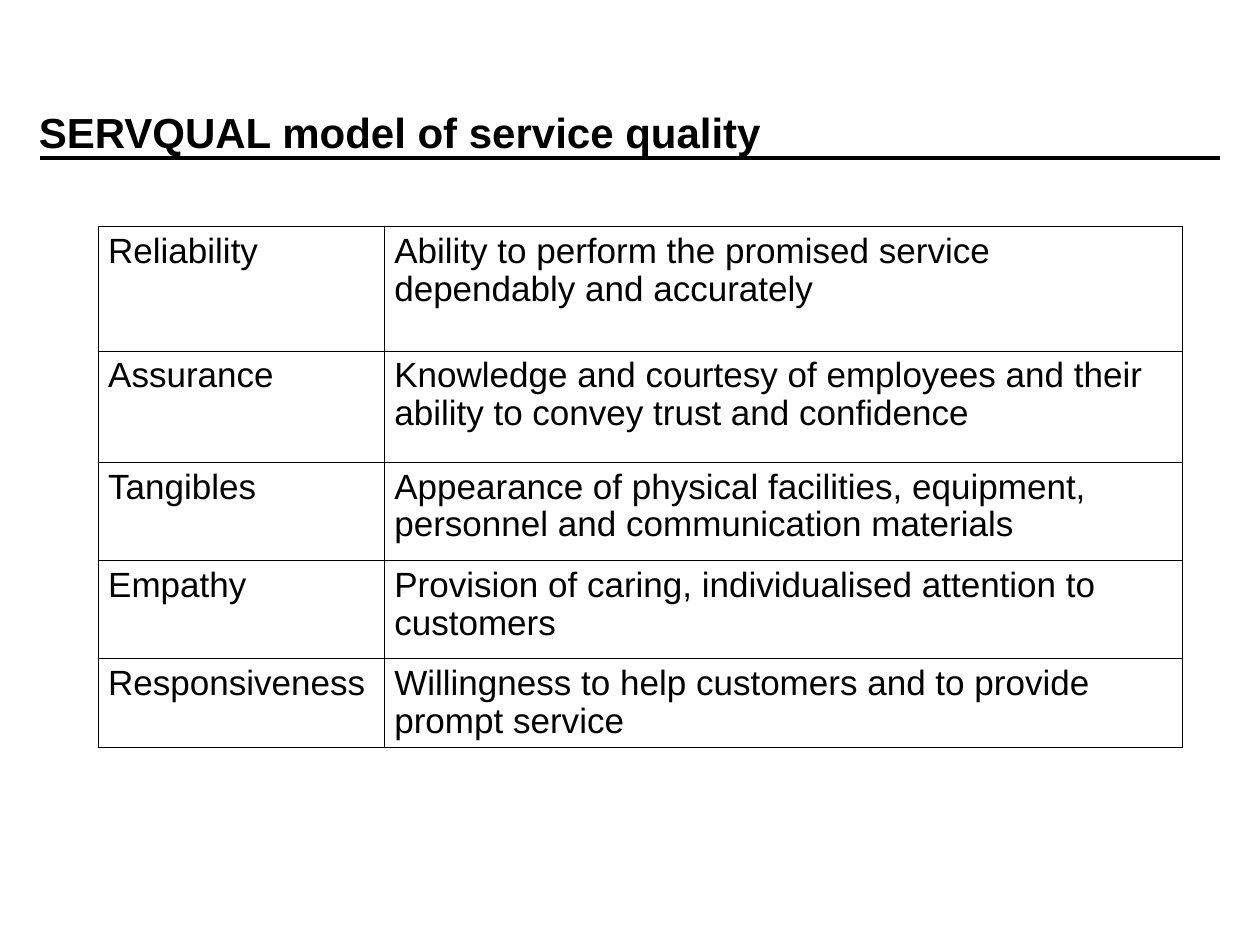
from dataclasses import dataclass

from pptx import Presentation
from pptx.dml.color import RGBColor as Rgb
from pptx.enum.shapes import MSO_CONNECTOR as Connector
from pptx.enum.text import MSO_ANCHOR as Anchor, MSO_AUTO_SIZE as AutoSize, PP_ALIGN as Align
from pptx.oxml import parse_xml
from pptx.oxml.ns import nsdecls
from pptx.util import Cm, Pt


@dataclass(frozen=True)
class Theme:
    font: str = "Arial"
    ink: str = "000000"
    paper: str = "FFFFFF"
    title_size: float = 24
    body_size: float = 20
    rule_width: float = 2
    border_width: float = 0.45
    body_spacing: float = 0.97


DIMENSIONS = [
    ("Reliability", "Ability to perform the promised service dependably and accurately", 2.51),
    ("Assurance", "Knowledge and courtesy of employees and their ability to convey trust and confidence", 2.24),
    ("Tangibles", "Appearance of physical facilities, equipment, personnel and communication materials", 1.98),
    ("Empathy", "Provision of caring, individualised attention to customers", 1.98),
    ("Responsiveness", "Willingness to help customers and to provide prompt service", 1.7),
]


def write_text(frame, text, *, font, size, color, bold=False, spacing=1.0):
    paragraph = frame.paragraphs[0]
    paragraph.alignment = Align.LEFT
    paragraph.line_spacing = spacing
    run = paragraph.add_run()
    run.text = text
    run.font.name = font
    run.font.size = Pt(size)
    run.font.bold = bold
    run.font.color.rgb = Rgb.from_string(color)


class SlideBuilder:
    def __init__(self, slide, theme):
        self.slide = slide
        self.theme = theme
        background = slide.background.fill
        background.solid()
        background.fore_color.rgb = Rgb.from_string(theme.paper)

    def title(self, text, left, top, width, height):
        heading = self.slide.shapes.title
        heading.left, heading.top = Cm(left), Cm(top)
        heading.width, heading.height = Cm(width), Cm(height)
        frame = heading.text_frame
        frame.word_wrap = True
        frame.auto_size = AutoSize.NONE
        frame.vertical_anchor = Anchor.MIDDLE
        write_text(frame, text, font=self.theme.font, size=self.theme.title_size,
                   color=self.theme.ink, bold=True)

    def rule(self, left, right, y):
        underline = self.slide.shapes.add_connector(
            Connector.STRAIGHT, Cm(left), Cm(y), Cm(right), Cm(y))
        underline.line.color.rgb = Rgb.from_string(self.theme.ink)
        underline.line.width = Pt(self.theme.rule_width)
        underline._element.spPr.append(parse_xml(f"<a:effectLst {nsdecls('a')}/>"))

    def table(self, rows, left, top, widths):
        heights = [height for *_, height in rows]
        grid = self.slide.shapes.add_table(
            len(rows), len(widths), Cm(left), Cm(top), Cm(sum(widths)), Cm(sum(heights))).table
        grid.first_row = grid.horz_banding = False
        for column, width in zip(grid.columns, widths):
            column.width = Cm(width)
        for row, (*texts, height) in zip(grid.rows, rows):
            row.height = Cm(height)
            for cell, text in zip(row.cells, texts):
                self.cell(cell, text)

    def cell(self, cell, text):
        cell.margin_left = cell.margin_right = Cm(0.2)
        cell.margin_top = cell.margin_bottom = Cm(0.13)
        cell.vertical_anchor = Anchor.TOP
        write_text(cell.text_frame, text, font=self.theme.font, size=self.theme.body_size,
                   color=self.theme.ink, spacing=self.theme.body_spacing)
        properties = cell._tc.get_or_add_tcPr()
        for side in ("lnL", "lnR", "lnT", "lnB"):
            properties.append(parse_xml(
                f'<a:{side} {nsdecls("a")} w="{Pt(self.theme.border_width)}"><a:solidFill>'
                f'<a:srgbClr val="{self.theme.ink}"/></a:solidFill></a:{side}>'))
        cell.fill.background()


def main():
    deck = Presentation()
    deck.slide_width, deck.slide_height = Cm(25.4), Cm(19.05)
    title_only = deck.slide_layouts[5]
    builder = SlideBuilder(deck.slides.add_slide(title_only), Theme())
    builder.rule(0.81, 24.59, 3.18)
    builder.title("SERVQUAL model of service quality", 0.53, 1.07, 21.59, 3.18)
    builder.table(DIMENSIONS, 1.98, 4.57, [5.77, 16.08])
    deck.save("out.pptx")


if __name__ == "__main__":
    main()
